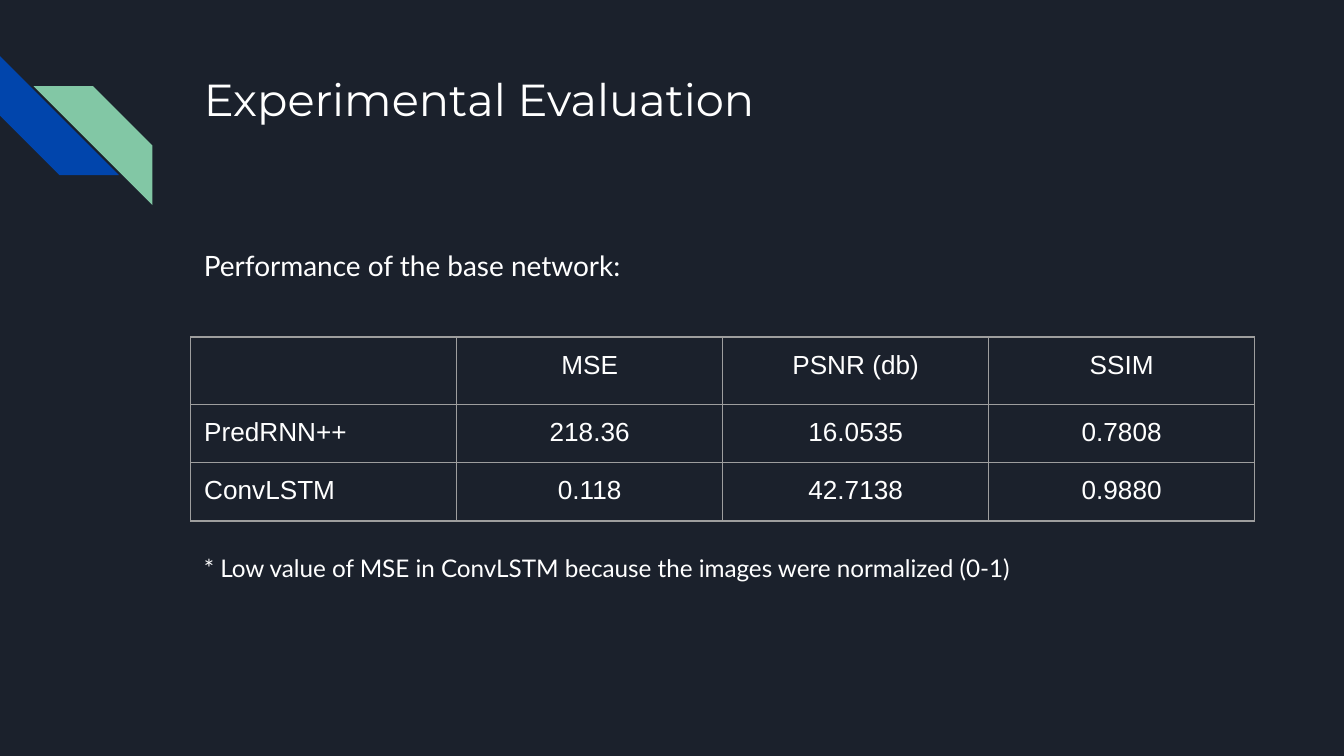
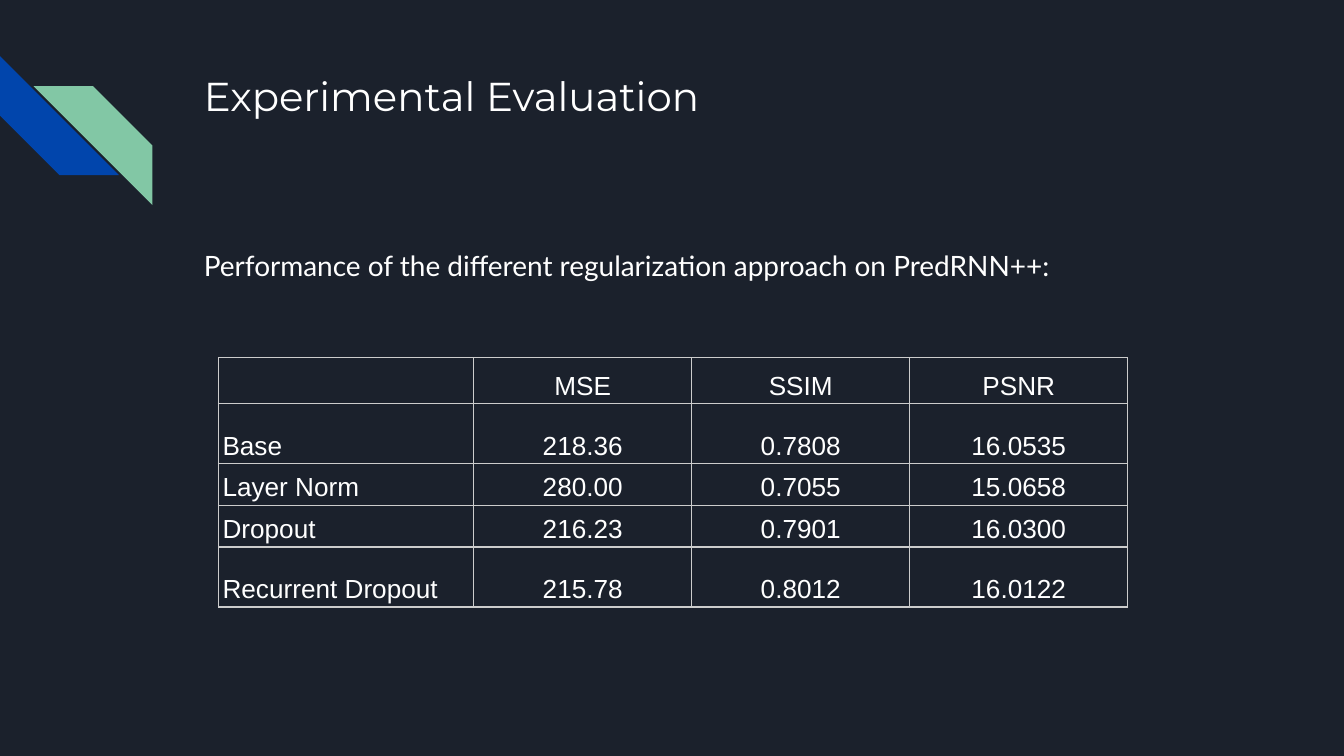
from typing import NamedTuple

from lxml.etree import SubElement
from pptx import Presentation
from pptx.dml.color import RGBColor
from pptx.enum.shapes import MSO_SHAPE
from pptx.enum.text import MSO_ANCHOR, PP_ALIGN
from pptx.oxml.ns import qn
from pptx.slide import Slide
from pptx.util import Pt

# Shared style
BACKGROUND, WHITE, BLUE, GREEN = "1B212C", "FFFFFF", "0145AC", "82C7A5"
TITLE_FONT, BODY_FONT, TABLE_FONT = "Montserrat", "Lato", "Arial"
TEXT_LEFT, TEXT_WIDTH, INSET = 102.2, 554.4, 7.2
LINE_SPACING = 1.15


class Stripe(NamedTuple):
    left: float
    top: float
    color: str
    rotation: float = 0
    flipped: bool = False


class ResultTable(NamedTuple):
    left: float
    top: float
    col_widths: list[float]
    row_heights: list[float]
    rows: list[list[str]]
    border: str
    margin_x: float
    margin_y: float
    anchor: MSO_ANCHOR
    spacing: float


STRIPE_SIZE = 63.7
STRIPES = [
    Stripe(0, 30.1, BLUE, rotation=270),
    Stripe(18, 46.2, GREEN, flipped=True),
]

BASE_RESULTS = ResultTable(
    102.2, 180.6, [142.5] * 4, [34.5, 30, 30],
    [
        ["", "MSE", "PSNR (db)", "SSIM"],
        ["PredRNN++", "218.36", "16.0535", "0.7808"],
        ["ConvLSTM", "0.118", "42.7138", "0.9880"],
    ],
    "9E9E9E", INSET, INSET, MSO_ANCHOR.TOP, 1.0,
)

REGULARIZATION_RESULTS = ResultTable(
    117, 191.7, [136.8] + [116.8] * 3, [23.3, 32.2, 21, 21, 32.2],
    [
        ["", "MSE", "SSIM", "PSNR"],
        ["Base", "218.36", "0.7808", "16.0535"],
        ["Layer Norm", "280.00", "0.7055", "15.0658"],
        ["Dropout", "216.23", "0.7901", "16.0300"],
        ["Recurrent Dropout", "215.78", "0.8012", "16.0122"],
    ],
    "CCCCCC", 2.2, 1.5, MSO_ANCHOR.BOTTOM, LINE_SPACING,
)


def rgb(color: str) -> RGBColor:
    return RGBColor.from_string(color)


def write(p, text: str, *, size: float, font: str, color: str = WHITE,
          align: PP_ALIGN = PP_ALIGN.LEFT, spacing: float = 1.0,
          before: float = 0) -> None:
    """Write formatted text into a paragraph."""
    p.alignment = align
    p.line_spacing = spacing
    p.space_before = Pt(before)
    r = p.add_run()
    r.text = text
    r.font.size = Pt(size)
    r.font.name = font
    r.font.color.rgb = rgb(color)


def add_text_frame(s: Slide, top: float, height: float):
    tf = s.shapes.add_textbox(Pt(TEXT_LEFT), Pt(top), Pt(TEXT_WIDTH), Pt(height)).text_frame
    tf.word_wrap = True
    tf.margin_left = tf.margin_right = tf.margin_top = tf.margin_bottom = Pt(INSET)
    return tf


def add_stripe(s: Slide, stripe: Stripe) -> None:
    sp = s.shapes.add_shape(MSO_SHAPE.DIAGONAL_STRIPE, Pt(stripe.left), Pt(stripe.top),
                            Pt(STRIPE_SIZE), Pt(STRIPE_SIZE))
    sp.shadow.inherit = False
    sp.fill.solid()
    sp.fill.fore_color.rgb = rgb(stripe.color)
    sp.line.fill.background()
    sp.rotation = stripe.rotation
    if stripe.flipped:
        sp._element.spPr.get_or_add_xfrm().set("flipH", "1")


def set_borders(cell, color: str) -> None:
    tc_pr = cell._tc.get_or_add_tcPr()
    for side in ("lnL", "lnR", "lnT", "lnB"):
        ln = SubElement(tc_pr, qn(f"a:{side}"), w=str(Pt(0.75)))
        fill = SubElement(ln, qn("a:solidFill"))
        SubElement(fill, qn("a:srgbClr"), val=color)


def add_results(s: Slide, data: ResultTable) -> None:
    table = s.shapes.add_table(
        len(data.rows), len(data.col_widths), Pt(data.left), Pt(data.top),
        Pt(sum(data.col_widths)), Pt(sum(data.row_heights))).table
    table.first_row = table.horz_banding = False
    for column, width in zip(table.columns, data.col_widths):
        column.width = Pt(width)
    for row, height in zip(table.rows, data.row_heights):
        row.height = Pt(height)

    for i, values in enumerate(data.rows):
        for j, value in enumerate(values):
            cell = table.cell(i, j)
            cell.margin_left = cell.margin_right = Pt(data.margin_x)
            cell.margin_top = cell.margin_bottom = Pt(data.margin_y)
            cell.vertical_anchor = data.anchor
            set_borders(cell, data.border)
            cell.fill.background()
            if value:
                write(cell.text_frame.paragraphs[0], value, size=14, font=TABLE_FONT,
                      align=PP_ALIGN.CENTER if j else PP_ALIGN.LEFT, spacing=data.spacing)


def add_result_slide(prs, title_size: float, intro: str, data: ResultTable,
                     footnote: str = "") -> None:
    s = prs.slides.add_slide(prs.slide_layouts[6])
    s.background.fill.solid()
    s.background.fill.fore_color.rgb = rgb(BACKGROUND)
    for stripe in STRIPES:
        add_stripe(s, stripe)

    # Title
    tf = add_text_frame(s, 31, 72)
    write(tf.paragraphs[0], "Experimental Evaluation", size=title_size, font=TITLE_FONT)

    # Introduction, with the footnote spaced to clear the table
    tf = add_text_frame(s, 123.1, 229)
    write(tf.paragraphs[0], intro, size=15, font=BODY_FONT, spacing=LINE_SPACING)
    if footnote:
        write(tf.add_paragraph(), footnote, size=13, font=BODY_FONT,
              spacing=LINE_SPACING, before=142.8)

    add_results(s, data)


def main() -> None:
    prs = Presentation()
    prs.slide_width, prs.slide_height = Pt(720), Pt(405)
    add_result_slide(
        prs, 24, "Performance of the base network:", BASE_RESULTS,
        "* Low value of MSE in ConvLSTM because the images were normalized (0-1)")
    add_result_slide(
        prs, 21.6, "Performance of the different regularization approach on PredRNN++:",
        REGULARIZATION_RESULTS)
    prs.save("out.pptx")


if __name__ == "__main__":
    main()
